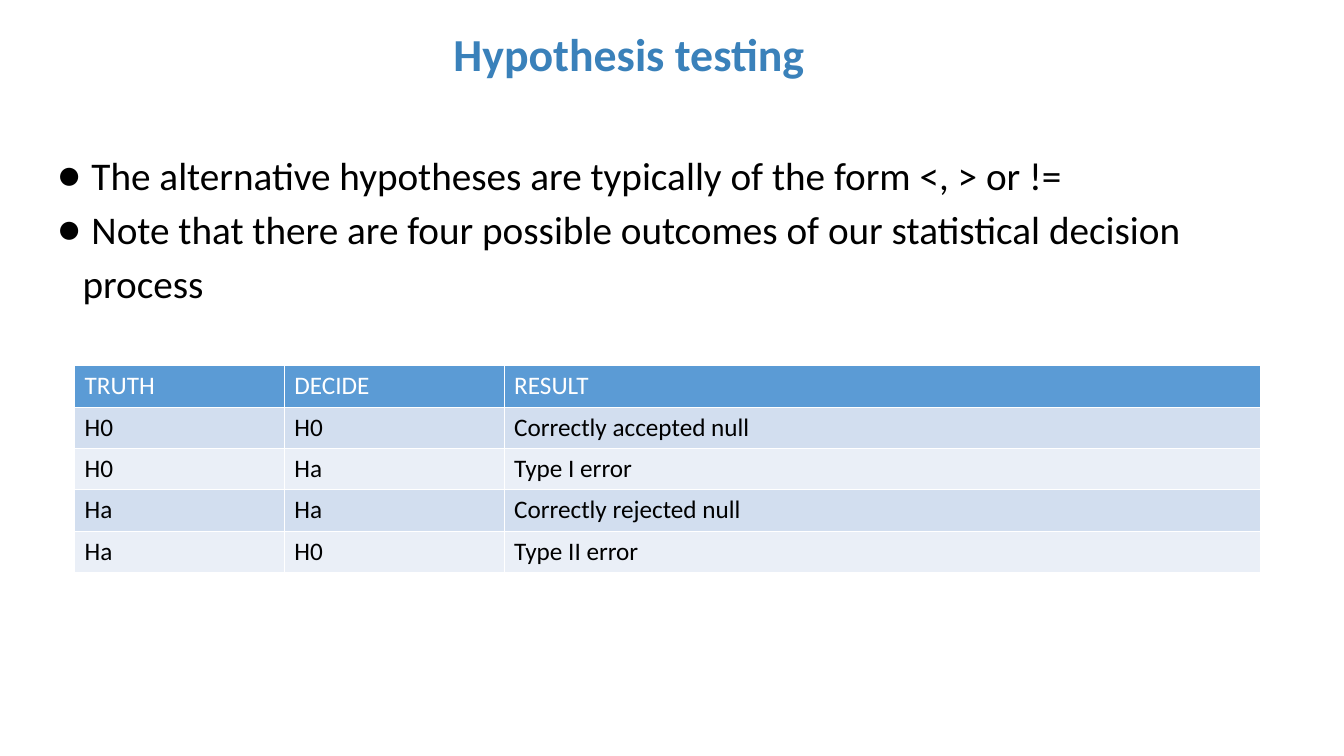
from typing import NamedTuple

from lxml import etree
from pptx import Presentation
from pptx import util as u
from pptx.dml import color
from pptx.enum import text
from pptx.oxml import ns

FONT = "Calibri"
BLACK, WHITE, TITLE_BLUE = "000000", "FFFFFF", "3A81BA"
HEADER_FILL = "5B9BD5"
BAND_FILLS = ("D2DEEF", "EAEFF7")


class Outcome(NamedTuple):
    truth: str
    decision: str
    result: str


HEADER = Outcome("TRUTH", "DECIDE", "RESULT")
OUTCOMES = [
    Outcome("H0", "H0", "Correctly accepted null"),
    Outcome("H0", "Ha", "Type I error"),
    Outcome("Ha", "Ha", "Correctly rejected null"),
    Outcome("Ha", "H0", "Type II error"),
]
POINTS = [
    " The alternative hypotheses are typically of the form <, > or !=",
    " Note that there are four possible outcomes of our statistical decision process",
]
COLUMN_WIDTHS = (2.08, 2.18, 7.5)
ROW_HEIGHT = 0.41


def rgb(value: str) -> color.RGBColor:
    return color.RGBColor.from_string(value)


def add_span(para, words: str, size: float, shade: str, bold: bool = False) -> None:
    span = para.add_run()
    span.text = words
    span.font.name = FONT
    span.font.size = u.Pt(size)
    span.font.bold = bold
    span.font.color.rgb = rgb(shade)


def add_frame(page, left: float, top: float, width: float, height: float):
    """Add a wrapping text box and return its text frame."""
    box = page.shapes.add_textbox(*map(u.Inches, (left, top, width, height)))
    box.text_frame.word_wrap = True
    return box.text_frame


def add_bullet(para) -> None:
    """Give the paragraph a black dot and a hanging indent."""
    props = para._p.get_or_add_pPr()
    props.set("marL", str(u.Inches(0.25)))
    props.set("indent", str(-u.Inches(0.25)))
    shade = etree.SubElement(props, ns.qn("a:buClr"))
    etree.SubElement(shade, ns.qn("a:srgbClr"), val=BLACK)
    etree.SubElement(props, ns.qn("a:buFont"), typeface=FONT)
    etree.SubElement(props, ns.qn("a:buChar"), char="●")


def add_borders(cell) -> None:
    props = cell._tc.get_or_add_tcPr()
    for index, side in enumerate(("lnL", "lnR", "lnT", "lnB")):
        line = etree.Element(ns.qn(f"a:{side}"), w=str(u.Pt(1)))
        fill = etree.SubElement(line, ns.qn("a:solidFill"))
        etree.SubElement(fill, ns.qn("a:srgbClr"), val=WHITE)
        props.insert(index, line)


def add_title(page) -> None:
    frame = add_frame(page, 2.16, 0, 8.16, 1.13)
    frame.vertical_anchor = text.MSO_ANCHOR.MIDDLE
    para = frame.paragraphs[0]
    para.alignment = text.PP_ALIGN.CENTER
    para.line_spacing = 0.9
    add_span(para, "Hypothesis testing", 32.7, TITLE_BLUE, bold=True)


def add_points(page) -> None:
    frame = add_frame(page, 0.48, 1.34, 12.23, 1.81)
    frame.margin_left = frame.margin_right = u.Inches(0.09)
    frame.margin_top = frame.margin_bottom = u.Inches(0.09)
    for index, point in enumerate(POINTS):
        para = frame.add_paragraph() if index else frame.paragraphs[0]
        para.line_spacing = 1.15
        add_bullet(para)
        add_span(para, point, 28, BLACK)


def add_outcome_table(page) -> None:
    rows = [HEADER, *OUTCOMES]
    table = page.shapes.add_table(
        len(rows), len(COLUMN_WIDTHS), u.Inches(0.74), u.Inches(3.63),
        u.Inches(sum(COLUMN_WIDTHS)), u.Inches(ROW_HEIGHT * len(rows)),
    ).table
    for column, width in zip(table.columns, COLUMN_WIDTHS):
        column.width = u.Inches(width)
    for index, outcome in enumerate(rows):
        fill = BAND_FILLS[(index - 1) % 2] if index else HEADER_FILL
        for cell, words in zip(table.rows[index].cells, outcome):
            cell.fill.solid()
            cell.fill.fore_color.rgb = rgb(fill)
            add_borders(cell)
            add_span(cell.text_frame.paragraphs[0], words, 18, BLACK if index else WHITE)


def main() -> None:
    deck = Presentation()
    deck.slide_width, deck.slide_height = u.Inches(13.33), u.Inches(7.5)
    page = deck.slides.add_slide(deck.slide_layouts[6])
    add_title(page)
    add_points(page)
    add_outcome_table(page)
    deck.save("out.pptx")


if __name__ == "__main__":
    main()
